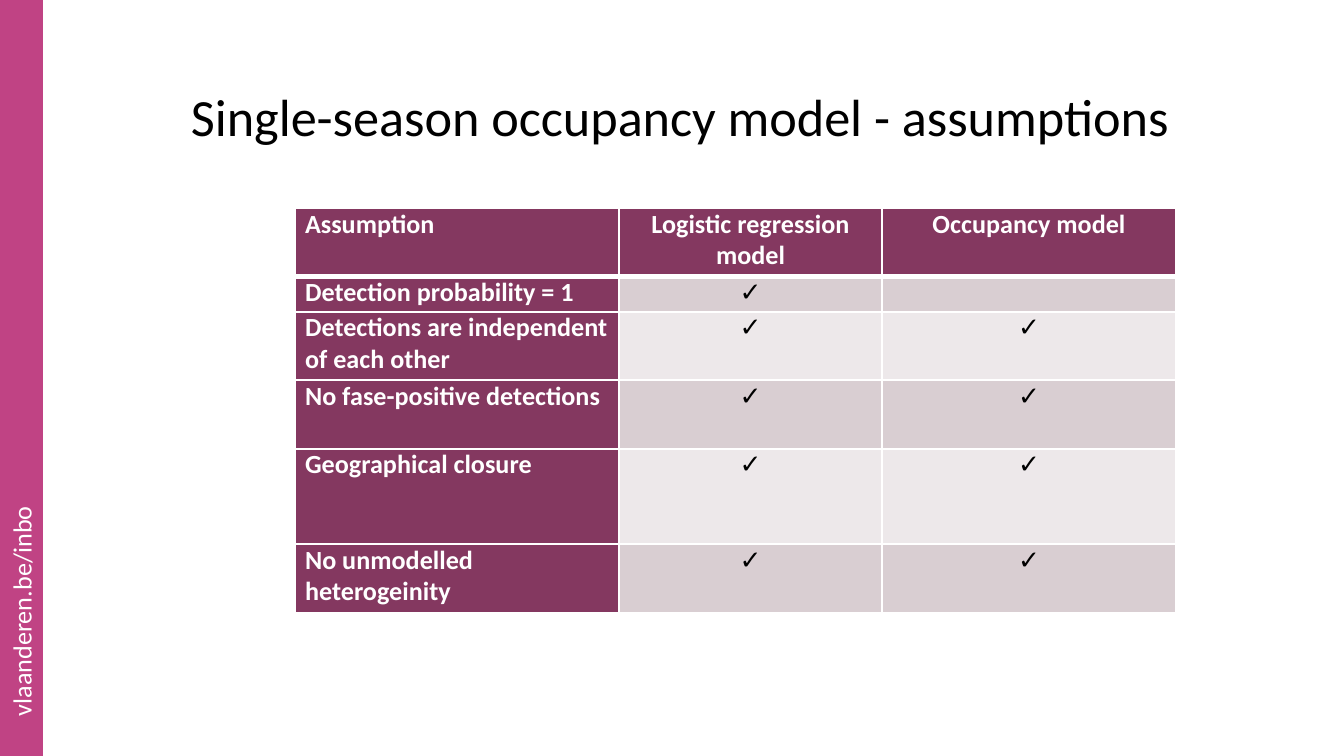
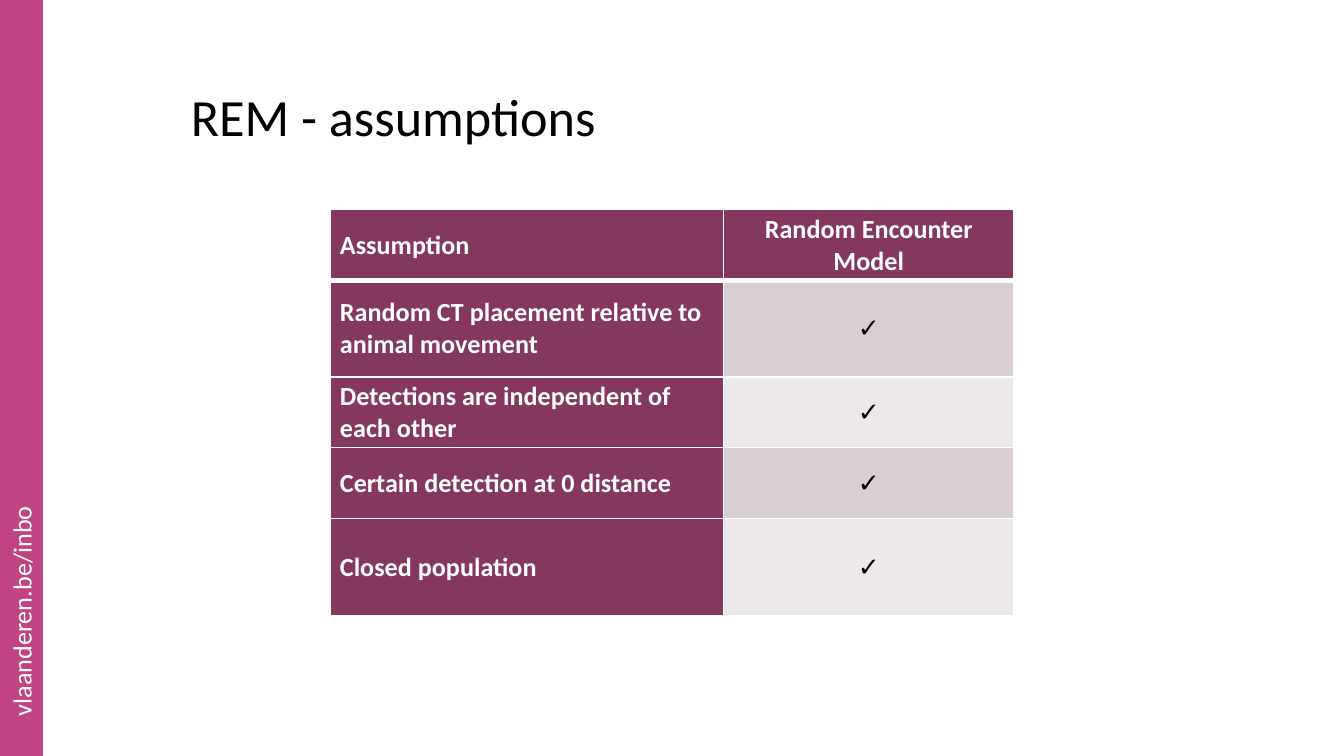
from lxml.etree import SubElement
from pptx import Presentation
from pptx.dml.color import RGBColor
from pptx.enum.shapes import MSO_SHAPE
from pptx.enum.text import MSO_ANCHOR, MSO_AUTO_SIZE, PP_ALIGN
from pptx.oxml import parse_xml
from pptx.oxml.ns import nsdecls
from pptx.util import Pt

PX = 4572
WIDTH, HEIGHT = 2000, 1125
PINK, PLUM, WHITE, BLACK = "C04384", "843860", "FFFFFF", "000000"
BANDS = ["D9CED2", "EDE8EA"]
CHECK = "✓"


def rgb(value):
    return RGBColor.from_string(value)


def write(tf, text, size, color, inset, bold=False, **fmt):
    sides = ("margin_left", "margin_top", "margin_right", "margin_bottom")
    for side, value in zip(sides, inset):
        setattr(tf, side, value * PX)
    tf.word_wrap = True
    p = tf.paragraphs[0]
    for key, value in fmt.items():
        setattr(p, key, value)
    if not text:
        p._p.get_or_add_endParaRPr().set("sz", str(size * 100))
        return
    r = p.add_run()
    r.text = text
    for key, value in {"name": "Calibri", "size": Pt(size), "bold": bold}.items():
        setattr(r.font, key, value)
    r.font.color.rgb = rgb(color)


slides = [
    {
        "title": "Single-season occupancy model - assumptions",
        "at": (440, 310),
        "cols": [481, 392, 437],
        "heights": [102, 52, 102, 102, 142, 102],
        "anchor": MSO_ANCHOR.TOP,
        "rows": [
            ["Assumption", "Logistic regression model", "Occupancy model"],
            ["Detection probability = 1", CHECK, ""],
            ["Detections are independent of each other", CHECK, CHECK],
            ["No fase-positive detections", CHECK, CHECK],
            ["Geographical closure", CHECK, CHECK],
            ["No unmodelled heterogeinity", CHECK, CHECK],
        ],
    },
    {
        "title": "REM - assumptions",
        "at": (492, 312),
        "cols": [585, 432],
        "heights": [106, 143, 105, 106, 145],
        "anchor": MSO_ANCHOR.MIDDLE,
        "rows": [
            ["Assumption", "Random Encounter Model"],
            ["Random CT placement relative to animal movement", CHECK],
            ["Detections are independent of each other", CHECK],
            ["Certain detection at 0 distance", CHECK],
            ["Closed population", CHECK],
        ],
    },
]

prs = Presentation()
prs.slide_width, prs.slide_height = WIDTH * PX, HEIGHT * PX

for item in slides:
    s = prs.slides.add_slide(prs.slide_layouts[6])
    band = s.shapes.add_shape(MSO_SHAPE.RECTANGLE, PX, 0, 62 * PX, HEIGHT * PX)
    band.shadow.inherit = False
    band.fill.solid()
    band.fill.fore_color.rgb = rgb(PINK)
    band.line.color.rgb = rgb(PINK)
    band.line.width = Pt(1)

    label = s.shapes.add_textbox(-154 * PX, 854 * PX, 374 * PX, 78 * PX)
    label.rotation = 270
    write(label.text_frame, "vlaanderen.be/inbo", 14, WHITE, (14, 14, 14, 14))
    label.text_frame.auto_size = MSO_AUTO_SIZE.SHAPE_TO_FIT_TEXT

    title = s.shapes.add_textbox(284 * PX, 123 * PX, 1622 * PX, 184 * PX)
    write(title.text_frame, item["title"], 28, BLACK, (0, 0, 0, 0), line_spacing=1.03)

    rows, cols, heights = item["rows"], item["cols"], item["heights"]
    left, top = item["at"]
    table = s.shapes.add_table(
        len(rows), len(cols), left * PX, top * PX, sum(cols) * PX, sum(heights) * PX
    ).table
    for column, width in zip(table.columns, cols):
        column.width = width * PX
    for i, texts in enumerate(rows):
        table.rows[i].height = heights[i] * PX
        for j, text in enumerate(texts):
            cell = table.cell(i, j)
            heading = i == 0 or j == 0
            cell.fill.solid()
            cell.fill.fore_color.rgb = rgb(PLUM if heading else BANDS[(i - 1) % 2])
            write(
                cell.text_frame, text, 14, WHITE if heading else BLACK, (14, 0, 14, 0), heading,
                alignment=PP_ALIGN.CENTER if j else PP_ALIGN.LEFT, space_after=Pt(9),
            )
            cell.margin_left = cell.margin_right = 14 * PX
            cell.margin_top = cell.margin_bottom = 0
            cell.vertical_anchor = item["anchor"]
            tcPr = cell._tc.get_or_add_tcPr()
            for k, side in enumerate("LRTB"):
                thick = (i, side) in [(0, "B"), (1, "T")]
                ln = parse_xml(f'<a:ln{side} {nsdecls("a")} w="{Pt(3 if thick else 1)}"/>')
                fill = SubElement(ln, ln.tag.replace(f"ln{side}", "solidFill"))
                SubElement(fill, ln.tag.replace(f"ln{side}", "srgbClr")).set("val", WHITE)
                tcPr.insert(k, ln)

prs.save("out.pptx")
